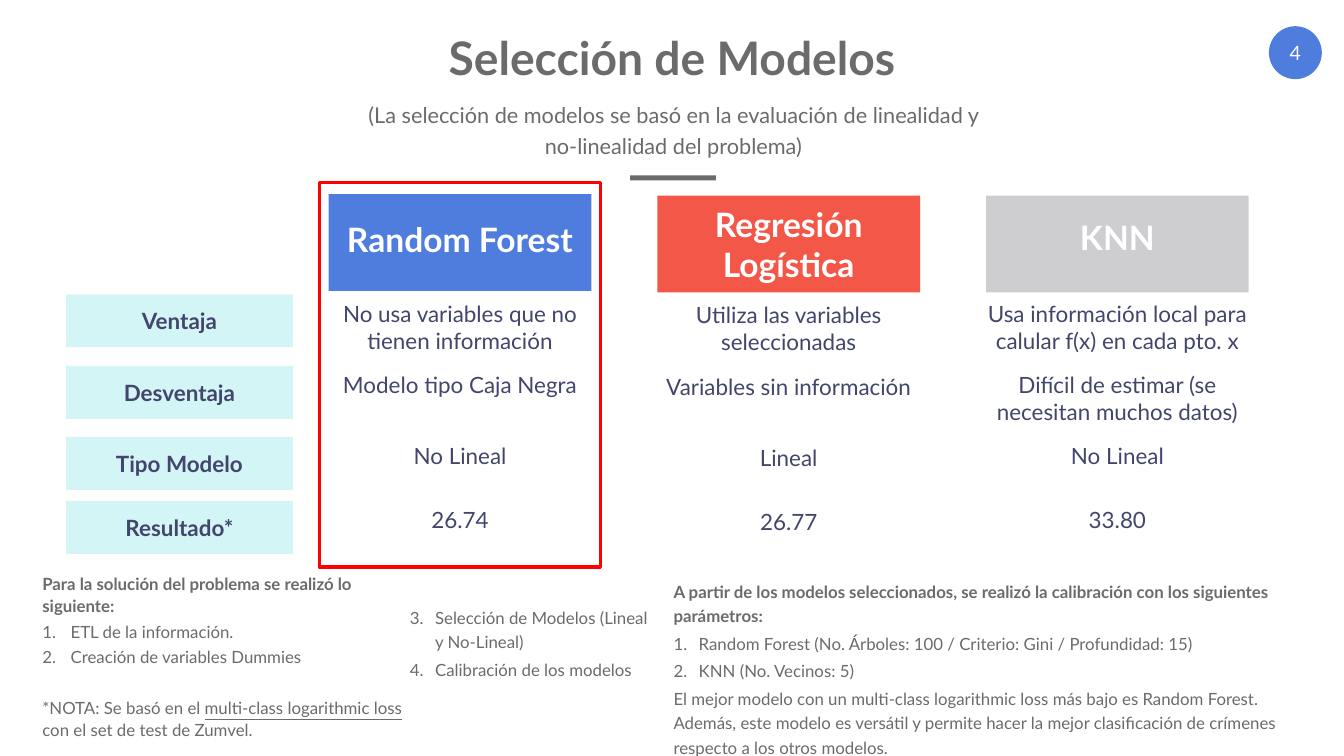
from lxml import etree
from pptx import Presentation
from pptx.dml.color import RGBColor
from pptx.enum.shapes import MSO_SHAPE
from pptx.enum.text import MSO_ANCHOR, MSO_AUTO_SIZE, PP_ALIGN
from pptx.oxml.ns import qn
from pptx.util import Inches, Pt

RECTANGLE, OVAL = MSO_SHAPE.RECTANGLE, MSO_SHAPE.OVAL
LEFT, CENTER = PP_ALIGN.LEFT, PP_ALIGN.CENTER
TOP, MIDDLE = MSO_ANCHOR.TOP, MSO_ANCHOR.MIDDLE
NO_FIT = MSO_AUTO_SIZE.NONE

FONT = "Lato"
GRAY = RGBColor(0x6B, 0x6B, 0x6B)
NAVY = RGBColor(0x42, 0x45, 0x6C)
BLUE = RGBColor(0x4E, 0x7D, 0xDE)
CORAL = RGBColor(0xF3, 0x57, 0x48)
SILVER = RGBColor(0xCE, 0xCE, 0xD0)
AQUA = RGBColor(0xD4, 0xF5, 0xF6)
RED = RGBColor(0xFF, 0x00, 0x00)
WHITE = RGBColor(0xFF, 0xFF, 0xFF)

# Content
TITLE = "Selección de Modelos"
SUBTITLE = ("(La selección de modelos se basó en la evaluación de linealidad y "
            "no-linealidad del problema)")
PAGE_NUMBER = "4"
CRITERIA = ["Ventaja", "Desventaja", "Tipo Modelo", "Resultado*"]
# name, colour, header top, header text inset, row text top shift, values
MODELS = [
    ("Random Forest", BLUE, 3.85, 0.5, 0.11,
     ["No usa variables que no tienen información", "Modelo tipo Caja Negra",
      "No Lineal", "26.74"]),
    ("Regresión Logística", CORAL, 3.88, 0.16, 0.14,
     ["Utiliza las variables seleccionadas", "Variables sin información",
      "Lineal", "26.77"]),
    ("KNN", SILVER, 3.88, 0.43, 0.11,
     ["Usa información local para calular f(x) en cada pto. x",
      "Difícil de estimar (se necesitan muchos datos)", "No Lineal", "33.80"]),
]
# Notes: box, line spacing, number indent, first number, paragraphs (style, text pieces)
NOTES = [
    ((0.6, 11.22, 7.99, 3.69), 1.1, 0.56, 1, [
        ("bold", ["Para la solución del problema se realizó lo siguiente:"]),
        ("number", ["ETL de la información."]),
        ("number", ["Creación de variables Dummies"]),
        ("apart", ["*NOTA: Se basó en el ", "multi-class logarithmic loss",
                   " con el set de test de Zumvel."])]),
    ((7.89, 11.86, 5.23, 2.67), 1.2, 0.5, 3, [
        ("number", ["Selección de Modelos (Lineal y No-Lineal)"]),
        ("number", ["Calibración de los modelos"])]),
    ((13.12, 11.34, 12.6, 3.69), 1.2, 0.5, 1, [
        ("bold", ["A partir de los modelos seleccionados, se realizó la calibración "
                  "con los siguientes parámetros:"]),
        ("number", ["Random Forest (No. Árboles: 100 / Criterio: Gini / Profundidad: 15)"]),
        ("number", ["KNN (No. Vecinos: 5)"]),
        ("plain", ["El mejor modelo con un multi-class logarithmic loss más bajo es Random "
                   "Forest. Además, este modelo es versátil y permite hacer la mejor "
                   "clasificación de crímenes respecto a los otros modelos."])]),
]

# Layout
COLUMN_LEFT, COLUMN_STEP, COLUMN_WIDTH, HEADER_HEIGHT = 6.52, 6.52, 5.21, 1.92
LABEL_LEFT, LABEL_WIDTH, ROW_HEIGHT = 1.31, 4.5, 1.05
ROW_TOPS = [5.84, 7.26, 8.67, 9.94]
GAP, WIDE_GAP = 5, 41


def place(box, area):
    box.left, box.top, box.width, box.height = map(Inches, area)


def frame_text(box, anchor=TOP, inset_x=0.0, inset_y=0.0):
    frame = box.text_frame
    frame.word_wrap, frame.auto_size = True, NO_FIT
    frame.vertical_anchor = anchor
    frame.margin_left = frame.margin_right = Inches(inset_x)
    frame.margin_top = frame.margin_bottom = Inches(inset_y)
    return frame


def style(para, size, color, bold=False, align=CENTER):
    para.alignment = align
    font = para.font
    font.name, font.size, font.bold = FONT, Pt(size), bold
    font.color.rgb = color


def write(box, text, size, color, bold=False, anchor=TOP):
    para = frame_text(box, anchor).paragraphs[0]
    para.text = text
    style(para, size, color, bold)


def add_block(page, kind, area, fill):
    block = page.shapes.add_shape(kind, *map(Inches, area))
    block.shadow.inherit = False
    block.line.fill.background()
    block.fill.solid()
    block.fill.fore_color.rgb = fill
    return block


def set_bullet(para, indent=0.0, start=None):
    properties = para._p.get_or_add_pPr()
    properties.set("marL", str(Inches(indent)))
    properties.set("indent", str(-Inches(indent)))
    if start is None:
        etree.SubElement(properties, qn("a:buNone"))
    else:
        etree.SubElement(properties, qn("a:buFont"), typeface="+mj-lt")
        etree.SubElement(properties, qn("a:buAutoNum"), type="arabicPeriod",
                         startAt=str(start))


def fill_body(body, paragraphs, spacing, indent, start, size, align):
    frame = frame_text(body, TOP, 0.24, 0.12)
    for index, (kind, pieces) in enumerate(paragraphs):
        para = frame.add_paragraph() if index else frame.paragraphs[0]
        para.line_spacing = spacing
        para.space_before = Pt((WIDE_GAP if kind == "apart" else GAP) if index else 0)
        para.space_after = Pt(0)
        if kind == "number":
            set_bullet(para, indent, start)
        else:
            set_bullet(para)
        style(para, size, GRAY, kind == "bold", align)
        for number, piece in enumerate(pieces):
            span = para.add_run()
            span.text = piece
            if number == 1:
                span.font.underline = True


def main():
    deck = Presentation()
    deck.slide_width, deck.slide_height = Inches(26.66), Inches(15)
    page = deck.slides.add_slide(deck.slide_layouts.get_by_name("Comparison"))
    subtitle, *note_bodies = [box for box in page.placeholders
                              if box.placeholder_format.idx in range(1, 5)]

    # Title, subtitle and rule
    title = page.shapes.title
    place(title, (6.57, 0.53, 13.52, 1.21))
    write(title, TITLE, 66, GRAY, True, MIDDLE)
    place(subtitle, (6.98, 1.79, 12.75, 1.69))
    fill_body(subtitle, [("plain", [SUBTITLE])], 1.2, 0, 1, 31, CENTER)
    add_block(page, RECTANGLE, (12.5, 3.48, 1.7, 0.1), GRAY)

    # Page number
    badge = add_block(page, OVAL, (25.17, 0.52, 1.05, 1.05), BLUE)
    write(badge, PAGE_NUMBER, 28, WHITE, anchor=MIDDLE)

    # Row labels
    for label, top in zip(CRITERIA, ROW_TOPS):
        block = add_block(page, RECTANGLE, (LABEL_LEFT, top, LABEL_WIDTH, ROW_HEIGHT), AQUA)
        write(block, label, 32, NAVY, True, MIDDLE)

    # Model columns
    for column, (name, color, header_top, inset, shift, values) in enumerate(MODELS):
        left = COLUMN_LEFT + column * COLUMN_STEP
        header = add_block(page, RECTANGLE,
                           (left, header_top, COLUMN_WIDTH, HEADER_HEIGHT), color)
        write(header, name, 48, WHITE, True)
        header.text_frame.margin_top = Inches(inset)
        for value, top in zip(values, ROW_TOPS):
            area = (left, top + shift, COLUMN_WIDTH, ROW_HEIGHT)
            write(page.shapes.add_textbox(*map(Inches, area)), value, 32, NAVY)

    # Notes
    for body, (area, spacing, indent, start, paragraphs) in zip(note_bodies, NOTES):
        place(body, area)
        fill_body(body, paragraphs, spacing, indent, start, 24, LEFT)

    # Frame around the chosen model
    choice = add_block(page, RECTANGLE, (6.33, 3.62, 5.58, 7.63), WHITE)
    choice.fill.background()
    choice.line.color.rgb = RED
    choice.line.width = Pt(4.5)

    deck.save("out.pptx")


if __name__ == "__main__":
    main()
